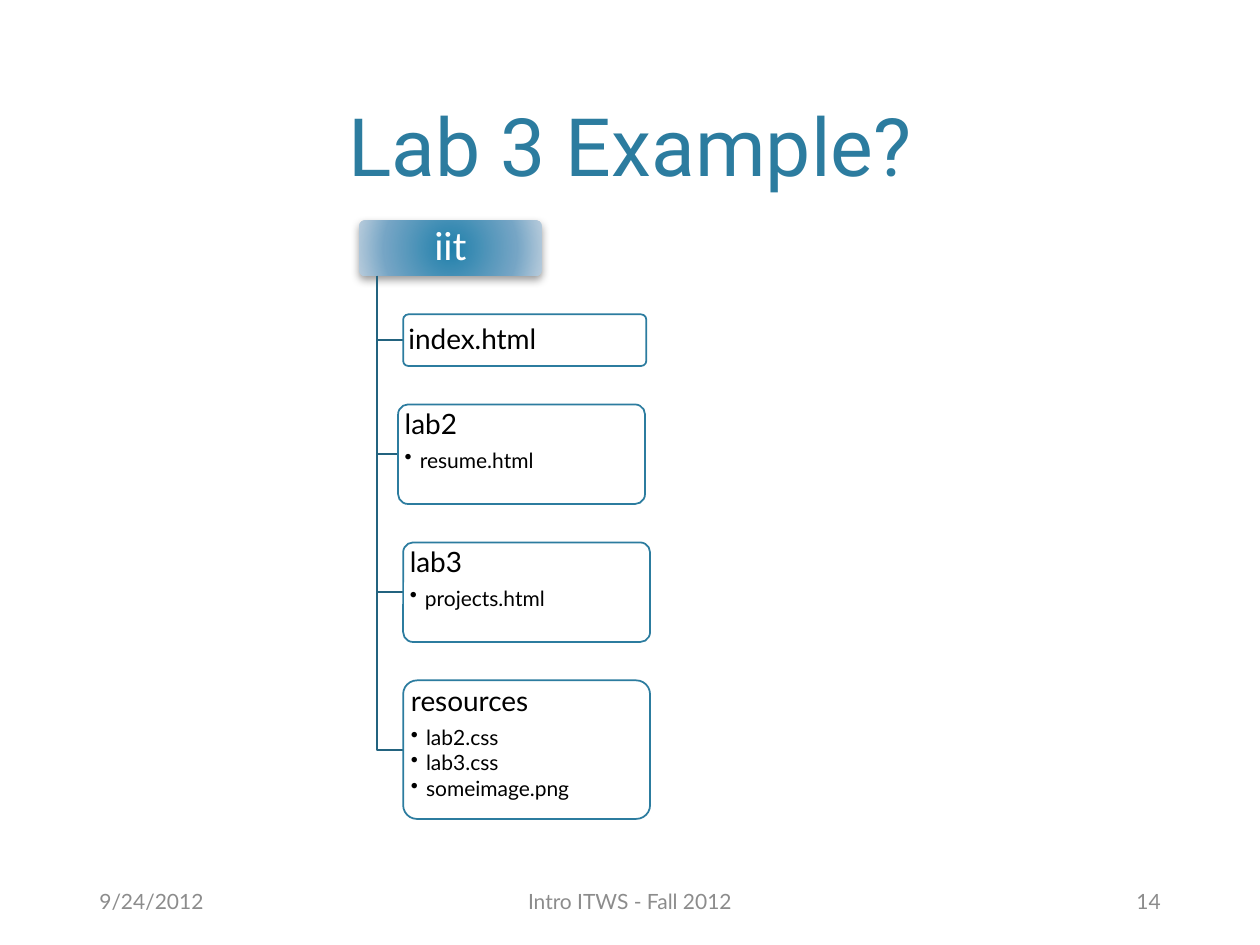
from lxml.etree import SubElement
from pptx import Presentation
from pptx.dml.color import RGBColor
from pptx.enum.shapes import MSO_SHAPE as Preset
from pptx.enum.text import MSO_ANCHOR as Anchor, MSO_AUTO_SIZE as Fit, PP_ALIGN as Align
from pptx.oxml import parse_xml
from pptx.oxml.ns import nsdecls, qn
from pptx.util import Inches, Pt

COLUMNS, ROWS = 100, 75
CELL = Inches(0.1)
TEAL, SPINE, GREY = "2C7C9F", "23637F", "8C8C8C"
ROOT_STOPS = [(0, "2080AB"), (69, "75A5C5"), (100, "B8CCDC")]
FOLDERS = [
    ("index.html", [], 32, 19.3, 4.1),
    ("lab2", ["resume.html"], 31.6, 19.6, 7.9),
    ("lab3", ["projects.html"], 32, 19.6, 7.9),
    ("resources", ["lab2.css", "lab3.css", "someimage.png"], 32, 19.6, 11),
]


def cells(*lengths):
    return [round(length * CELL) for length in lengths]


def colour(hex_string):
    return RGBColor.from_string(hex_string)


def write(paragraph, words, size, hue, face="Lato", align=Align.LEFT):
    paragraph.alignment = align
    run = paragraph.add_run()
    run.text = words
    for font in (paragraph.font, run.font):
        font.name = face
        font.size = Pt(size)
        font.color.rgb = colour(hue)


def add_bullet(paragraph):
    properties = paragraph._p.get_or_add_pPr()
    properties.set("marL", str(Inches(0.12)))
    properties.set("indent", str(-Inches(0.12)))
    SubElement(properties, qn("a:buChar"), char="•")


def add_title(slide, box):
    title = slide.shapes.title
    title.left, title.top, title.width, title.height = cells(*box)
    frame = title.text_frame
    frame.auto_size = Fit.NONE
    frame.vertical_anchor = Anchor.BOTTOM
    write(frame.paragraphs[0], "Lab 3 Example?", 46, TEAL, "Roboto", Align.CENTER)


def add_node(slide, box, inset):
    node = slide.shapes.add_shape(Preset.ROUNDED_RECTANGLE, *cells(*box))
    node.adjustments[0] = 0.1
    node.shadow.inherit = False
    frame = node.text_frame
    frame.word_wrap = True
    frame.margin_left = frame.margin_right = Inches(inset)
    frame.margin_top = frame.margin_bottom = Inches(0.02)
    return node


def add_root(slide, box):
    root = add_node(slide, box, 0.05)
    root.line.fill.background()
    root.fill.background()
    properties = root._element.spPr
    stops = "".join(
        f'<a:gs pos="{place * 1000}"><a:srgbClr val="{hue}"/></a:gs>' for place, hue in ROOT_STOPS
    )
    gradient = parse_xml(
        f'<a:gradFill {nsdecls("a")} rotWithShape="1"><a:gsLst>{stops}</a:gsLst><a:path path="circle">'
        '<a:fillToRect l="100000" t="100000" r="100000" b="100000"/></a:path></a:gradFill>'
    )
    properties.replace(properties.find(qn("a:noFill")), gradient)
    properties.find(qn("a:effectLst")).append(parse_xml(
        f'<a:outerShdw {nsdecls("a")} blurRad="{Pt(5)}" dist="{Pt(2)}" dir="5400000" rotWithShape="0">'
        '<a:srgbClr val="000000"><a:alpha val="40000"/></a:srgbClr></a:outerShdw>'
    ))
    heading = root.text_frame.paragraphs[0]
    heading.line_spacing = 0.9
    write(heading, "iit", 22, "FFFFFF", align=Align.CENTER)


def add_branch(slide, spine, start, tip, middle):
    builder = slide.shapes.build_freeform(*cells(spine, start))
    builder.add_line_segments([cells(spine, middle), cells(tip, middle)], close=False)
    branch = builder.convert_to_shape()
    branch.shadow.inherit = False
    branch.fill.background()
    branch.line.color.rgb = colour(SPINE)
    branch.line.width = Pt(1)


def add_folder(slide, box, name, files):
    folder = add_node(slide, box, 0.03)
    folder.fill.solid()
    folder.fill.fore_color.rgb = colour("FFFFFF")
    folder.line.color.rgb = colour(TEAL)
    folder.line.width = Pt(1)
    frame = folder.text_frame
    frame.vertical_anchor = Anchor.TOP if files else Anchor.MIDDLE
    heading = frame.paragraphs[0]
    heading.line_spacing = 0.9
    heading.space_after = Pt(5.6 if files else 0)
    write(heading, name, 16, "000000")
    for file in files:
        entry = frame.add_paragraph()
        entry.level = 1
        entry.line_spacing = 0.9
        entry.space_after = Pt(1.8)
        add_bullet(entry)
        write(entry, file, 12, "000000")


def add_tree(slide, box, gap):
    left, top, width, height = box
    add_root(slide, box)
    spine, root_bottom = left + width / 10, top + height
    folder_top = root_bottom + gap
    for name, files, folder_left, folder_width, folder_height in FOLDERS:
        add_branch(slide, spine, root_bottom, folder_left, folder_top + folder_height / 2)
        add_folder(slide, (folder_left, folder_top, folder_width, folder_height), name, files)
        folder_top += folder_height + gap


def add_footer(slide, top, height):
    parts = [
        ("9/24/2012", 6.9, 26.9, Align.LEFT),
        ("Intro ITWS - Fall 2012", 38.1, 23.8, Align.CENTER),
        ("14", 66.2, 26.9, Align.RIGHT),
    ]
    for words, left, width, align in parts:
        frame = slide.shapes.add_textbox(*cells(left, top, width, height)).text_frame
        frame.word_wrap = True
        frame.vertical_anchor = Anchor.MIDDLE
        write(frame.paragraphs[0], words, 12, GREY, align=align)


def main():
    deck = Presentation()
    deck.slide_width, deck.slide_height = cells(COLUMNS, ROWS)
    slide = deck.slides.add_slide(deck.slide_layouts[5])
    add_title(slide, (6, 1.2, 88, 14.6))
    add_tree(slide, (28.5, 17.5, 14.5, 4.4), gap=3.05)
    add_footer(slide, top=69.5, height=4)
    deck.save("out.pptx")


if __name__ == "__main__":
    main()
